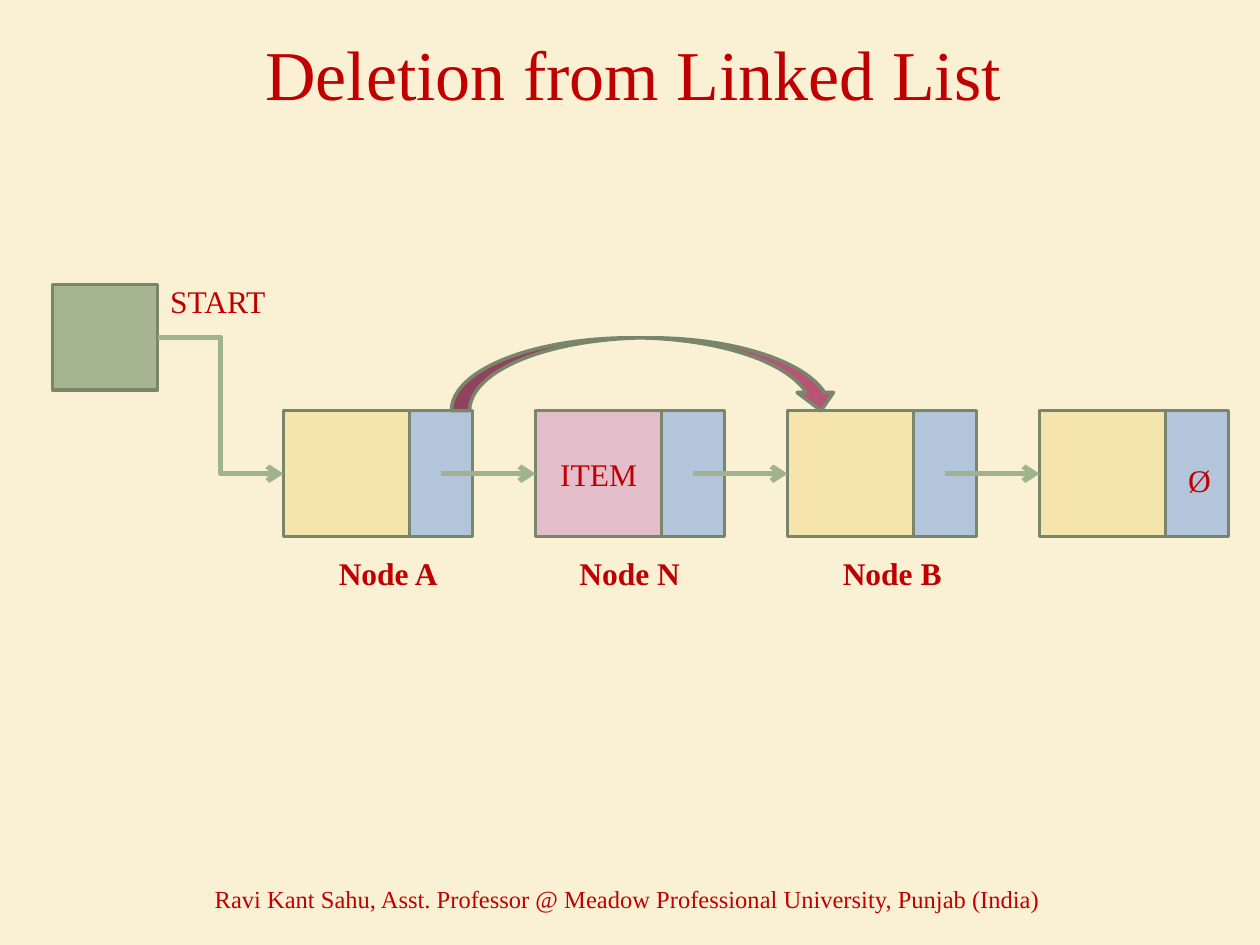
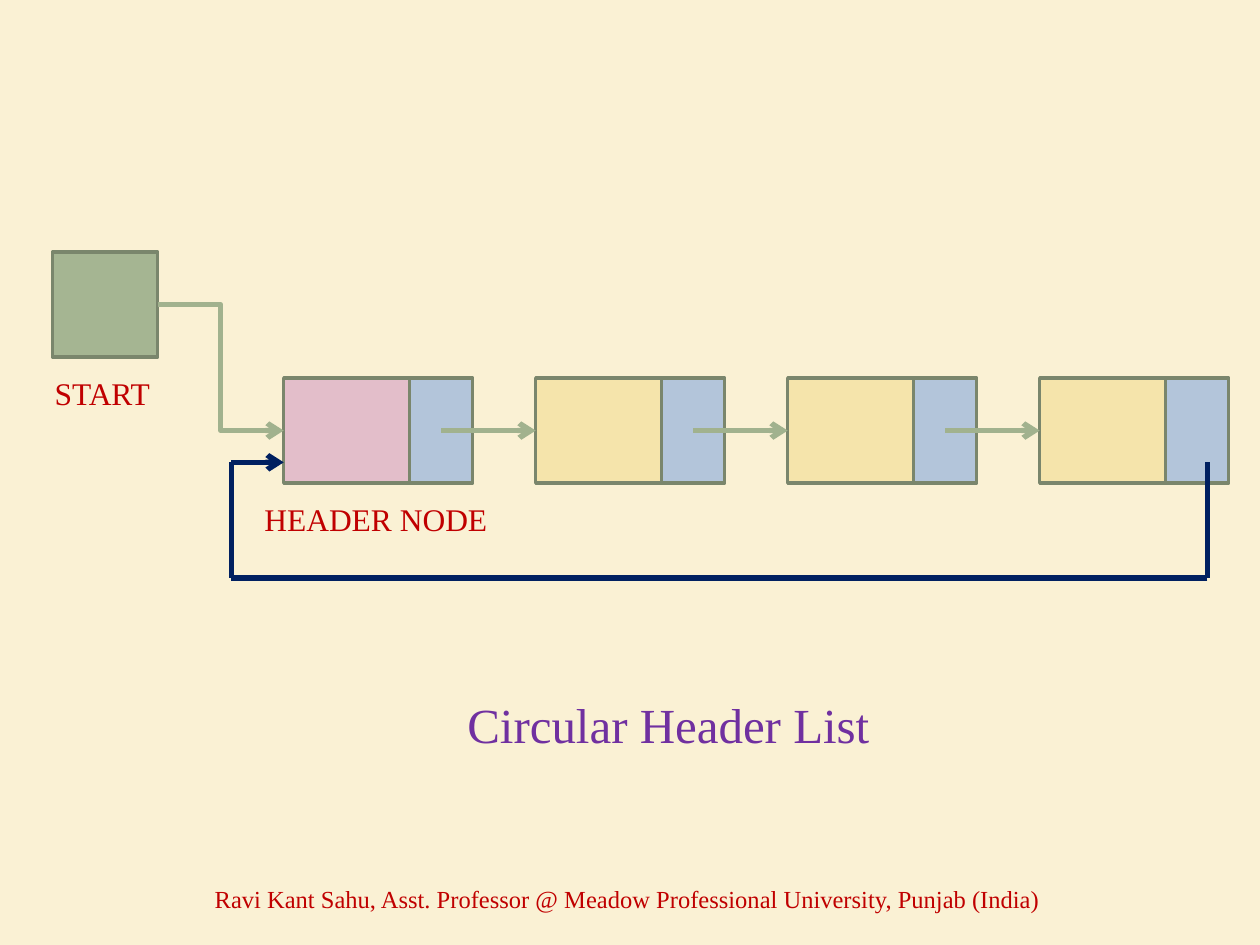
from dataclasses import dataclass

from lxml import etree
from pptx import Presentation
from pptx.dml.color import RGBColor
from pptx.enum import shapes, text
from pptx.oxml.ns import qn
from pptx.util import Cm, Pt


@dataclass(frozen=True)
class Theme:
    font: str = "Times New Roman"
    paper: str = "FAF1D4"
    red: str = "C00000"
    purple: str = "7030A0"
    outline: str = "7A866C"
    pointer: str = "A1B28E"
    loop: str = "002060"
    start: str = "A5B592"
    data: str = "F5E4AB"
    marked: str = "E3BECA"
    link: str = "B3C5DA"
    bypass: str = "B55475"
    title_size: int = 40
    caption_size: int = 28
    label_size: int = 18
    footer_size: int = 14


THEME = Theme()
FOOTER = "Ravi Kant Sahu, Asst. Professor @ Meadow Professional University, Punjab (India)"
DATA_WIDTH, LINK_WIDTH, NODE_STEP = 2.54, 1.27, 5.08
CHAIN_LEFT = 5.72
START_SIDE, START_RISE, START_OFFSET = 2.12, 2.54, 4.66
LABEL_HEIGHT = 1.02


def rgb(code):
    return RGBColor.from_string(code)


def write(frame, words, size, color=THEME.red, bold=None, align=text.PP_ALIGN.CENTER):
    paragraph = frame.paragraphs[0]
    paragraph.alignment = align
    run = paragraph.add_run()
    run.text = words
    run.font.name = THEME.font
    run.font.size = Pt(size)
    run.font.bold = bold
    run.font.color.rgb = rgb(color)


def banner(slide, box, words, size, color=THEME.red):
    frame = slide.shapes.add_textbox(*map(Cm, box)).text_frame
    frame.word_wrap = True
    frame.vertical_anchor = text.MSO_ANCHOR.MIDDLE
    write(frame, words, size, color)


def label(slide, left, top, width, words, bold=None):
    frame = slide.shapes.add_textbox(*map(Cm, (left, top, width, LABEL_HEIGHT))).text_frame
    frame.word_wrap = False
    frame.auto_size = text.MSO_AUTO_SIZE.SHAPE_TO_FIT_TEXT
    write(frame, words, THEME.label_size, bold=bold, align=text.PP_ALIGN.LEFT)


def block(slide, box, color, words="", outline=shapes.MSO_SHAPE.RECTANGLE):
    cell = slide.shapes.add_shape(outline, *map(Cm, box))
    cell.shadow.inherit = False
    cell.fill.solid()
    cell.fill.fore_color.rgb = rgb(color)
    cell.line.color.rgb = rgb(THEME.outline)
    cell.line.width = Pt(2)
    if words:
        cell.text_frame.vertical_anchor = text.MSO_ANCHOR.MIDDLE
        write(cell.text_frame, words, THEME.label_size)


def pointer(slide, tail, tip, color=THEME.pointer, arrow=True,
            route=shapes.MSO_CONNECTOR.STRAIGHT):
    connector = slide.shapes.add_connector(route, *map(Cm, (*tail, *tip)))
    connector.line.color.rgb = rgb(color)
    connector.line.width = Pt(3)
    properties = connector.element.spPr
    if arrow:
        etree.SubElement(properties.find(qn("a:ln")), qn("a:tailEnd"), type="arrow")
    etree.SubElement(properties, qn("a:effectLst"))


def linked_list(slide, left, top, height, nodes):
    middle = top + height / 2
    start_left, start_top = left - START_OFFSET, top - START_RISE
    block(slide, (start_left, start_top, START_SIDE, START_SIDE), THEME.start)
    starts = [left + NODE_STEP * i for i in range(len(nodes))]
    for node_left, (color, words) in zip(starts, nodes):
        block(slide, (node_left, top, DATA_WIDTH, height), color, words)
        block(slide, (node_left + DATA_WIDTH, top, LINK_WIDTH, height), THEME.link)
    pointer(slide, (start_left + START_SIDE, start_top + START_SIDE / 2), (left, middle),
            route=shapes.MSO_CONNECTOR.ELBOW)
    for node_left, next_left in zip(starts, starts[1:]):
        pointer(slide, (node_left + DATA_WIDTH + LINK_WIDTH / 2, middle), (next_left, middle))


def return_loop(slide, left, top, right, bottom, entry):
    corners = [(right, top), (right, bottom), (left, bottom), (left, top), (entry, top)]
    for tail, tip in zip(corners, corners[1:]):
        pointer(slide, tail, tip, THEME.loop, arrow=tip == corners[-1])


def new_slide(deck, title_box, title, size, color):
    slide = deck.slides.add_slide(deck.slide_layouts[6])
    banner(slide, title_box, title, size, color)
    banner(slide, (2.11, 17.6, 21.08, 1.02), FOOTER, THEME.footer_size)
    return slide


def deletion_slide(deck, left, top, height):
    slide = new_slide(deck, (1.4, 0, 22.73, 2.92), "Deletion from Linked List",
                      THEME.title_size, THEME.red)
    plain = (THEME.data, "")
    linked_list(slide, left, top, height, [plain, (THEME.marked, "ITEM"), plain, plain])
    block(slide, (left + 3.38, top - 1.47, 7.82, 1.47), THEME.bypass,
          outline=shapes.MSO_SHAPE.CURVED_DOWN_ARROW)
    label(slide, left - 2.54, top - 2.72, 2.46, "START")
    label(slide, left + 3 * NODE_STEP + DATA_WIDTH + 0.2, top + 0.89, 0.97, "Ø")
    for i, (name, inset) in enumerate([("Node A", 0.86), ("Node N", 0.63), ("Node B", 0.86)]):
        label(slide, left + NODE_STEP * i + inset, top + height + 0.23, 2.54, name, bold=True)


def circular_slide(deck, left, top, height):
    slide = new_slide(deck, (2.11, 13.13, 22.73, 2.92), "Circular Header List",
                      THEME.caption_size, THEME.purple)
    linked_list(slide, left, top, height, [(THEME.marked, "")] + [(THEME.data, "")] * 3)
    label(slide, left - 4.87, top - 0.2, 2.46, "START")
    label(slide, left - 0.64, top + height + 0.22, 5.05, "HEADER NODE")
    return_loop(slide, left - 1.06, top + 1.7, left + 18.62, top + 4.03, left)


deck = Presentation()
deck.slide_width, deck.slide_height = Cm(25.4), Cm(19.05)
paper = deck.slide_master.background.fill
paper.solid()
paper.fore_color.rgb = rgb(THEME.paper)
deletion_slide(deck, CHAIN_LEFT, 8.28, 2.54)
circular_slide(deck, CHAIN_LEFT, 7.62, 2.12)
deck.save("out.pptx")
